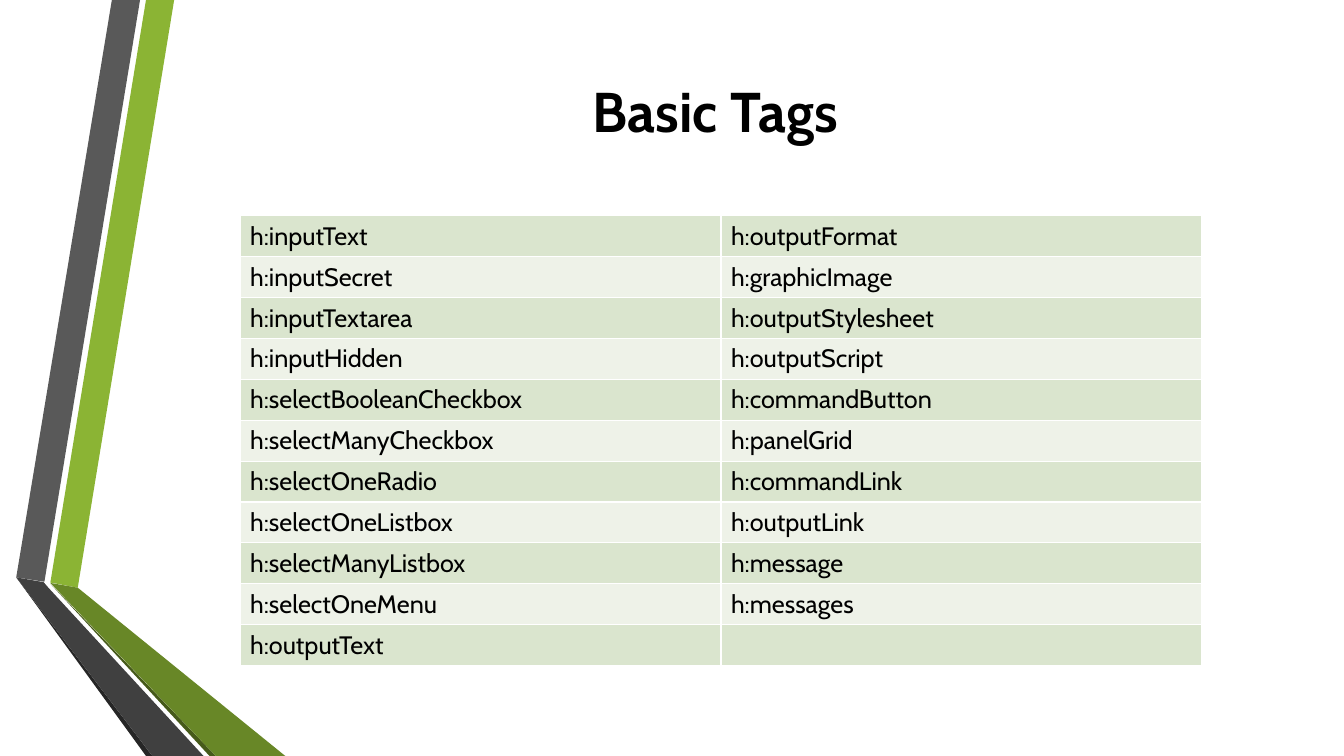
from itertools import zip_longest

from lxml.etree import SubElement
from pptx import Presentation
from pptx.dml.color import RGBColor
from pptx.enum.text import MSO_ANCHOR, PP_ALIGN
from pptx.oxml.ns import qn
from pptx.util import Cm, Pt


def rgb(value):
    return RGBColor.from_string(value)


class Deck:
    """Hold the style and the current slide, and draw elements on it."""

    font = {"name": "Cabin", "size": Pt(18), "bold": False}
    ink = "000000"
    border = "FFFFFF"
    bands = ("DAE5CE", "EEF2E8")

    def __init__(self, width, height):
        self.prs = Presentation()
        self.prs.slide_width, self.prs.slide_height = Cm(width), Cm(height)
        self.s = self.prs.slides.add_slide(self.prs.slide_layouts[6])

    def add_text(self, p, text, **fmt):
        r = p.add_run()
        r.text = text
        for key, value in {**self.font, **fmt}.items():
            setattr(r.font, key, value)
        r.font.color.rgb = rgb(self.ink)

    def outline(self, color, points):
        pts = [(Cm(x), Cm(y)) for x, y in points]
        fb = self.s.shapes.build_freeform(*pts[0], scale=1.0)
        fb.add_line_segments(pts[1:], close=True)
        sp = fb.convert_to_shape()
        sp.shadow.inherit = False
        sp.fill.solid()
        sp.fill.fore_color.rgb = rgb(color)
        sp.line.fill.background()

    def title(self, text, x, y, w, h):
        tf = self.s.shapes.add_textbox(Cm(x), Cm(y), Cm(w), Cm(h)).text_frame
        for key, value in {"word_wrap": True, "vertical_anchor": MSO_ANCHOR.MIDDLE}.items():
            setattr(tf, key, value)
        p = tf.paragraphs[0]
        p.alignment = PP_ALIGN.CENTER
        self.add_text(p, text, size=Pt(40), bold=True)

    def cell_border(self, cell):
        tc_pr = cell._tc.get_or_add_tcPr()
        for side in ("lnL", "lnR", "lnT", "lnB"):
            ln = SubElement(tc_pr, qn("a:" + side), w=str(Pt(1)))
            fill = SubElement(ln, qn("a:solidFill"))
            SubElement(fill, qn("a:srgbClr"), val=self.border)

    def table(self, rows, x, y, col_w, row_h):
        n = len(rows[0])
        frame = self.s.shapes.add_table(len(rows), n, Cm(x), Cm(y),
                                        Cm(col_w * n), Cm(row_h * len(rows)))
        tbl = frame.table
        tbl.first_row = False
        for col in tbl.columns:
            col.width = Cm(col_w)
        for i, (row, texts) in enumerate(zip(tbl.rows, rows)):
            row.height = Cm(row_h)
            for cell, text in zip(row.cells, texts):
                self.cell_border(cell)
                cell.fill.solid()
                cell.fill.fore_color.rgb = rgb(self.bands[i % 2])
                if text:
                    self.add_text(cell.text_frame.paragraphs[0], text)


RIBBONS = [
    ("8BB434", [(1.27, 14.68), (1.96, 14.81), (4.39, 0), (3.68, 0)]),
    ("595959", [(3.53, 0), (2.82, 0), (0.41, 14.55), (1.12, 14.66)]),
    ("262626", [(0.41, 14.55), (3.68, 19.05), (3.84, 19.05)]),
    ("465A1A", [(1.27, 14.71), (5.28, 19.05), (5.44, 19.05)]),
    ("688727", [(1.27, 14.69), (5.44, 19.05), (7.19, 19.05), (1.96, 14.81)]),
    ("404040", [(5.13, 19.05), (1.22, 14.81), (1.1, 14.67), (0.41, 14.55), (3.84, 19.05)]),
]
LEFT_TAGS = ["inputText", "inputSecret", "inputTextarea", "inputHidden",
             "selectBooleanCheckbox", "selectManyCheckbox", "selectOneRadio",
             "selectOneListbox", "selectManyListbox", "selectOneMenu", "outputText"]
RIGHT_TAGS = ["outputFormat", "graphicImage", "outputStylesheet", "outputScript",
              "commandButton", "panelGrid", "commandLink", "outputLink",
              "message", "messages"]

deck = Deck(33.87, 19.05)
for color, points in RIBBONS:
    deck.outline(color, points)
deck.title("Basic Tags", 4.11, 1.63, 27.84, 2.29)
tag_rows = [[tag and f"h:{tag}" for tag in pair] for pair in zip_longest(LEFT_TAGS, RIGHT_TAGS)]
deck.table(tag_rows, 6.05, 5.44, 12.12, 1.03)
deck.prs.save("out.pptx")
